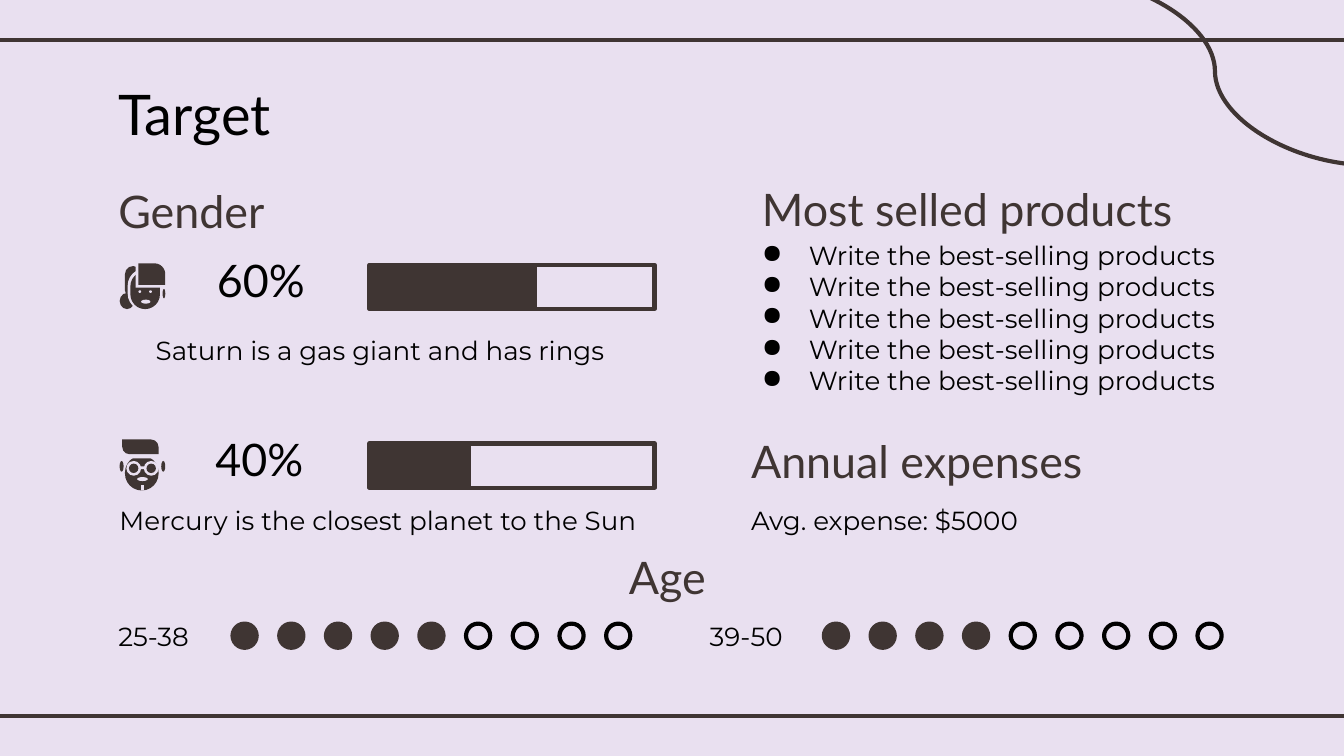
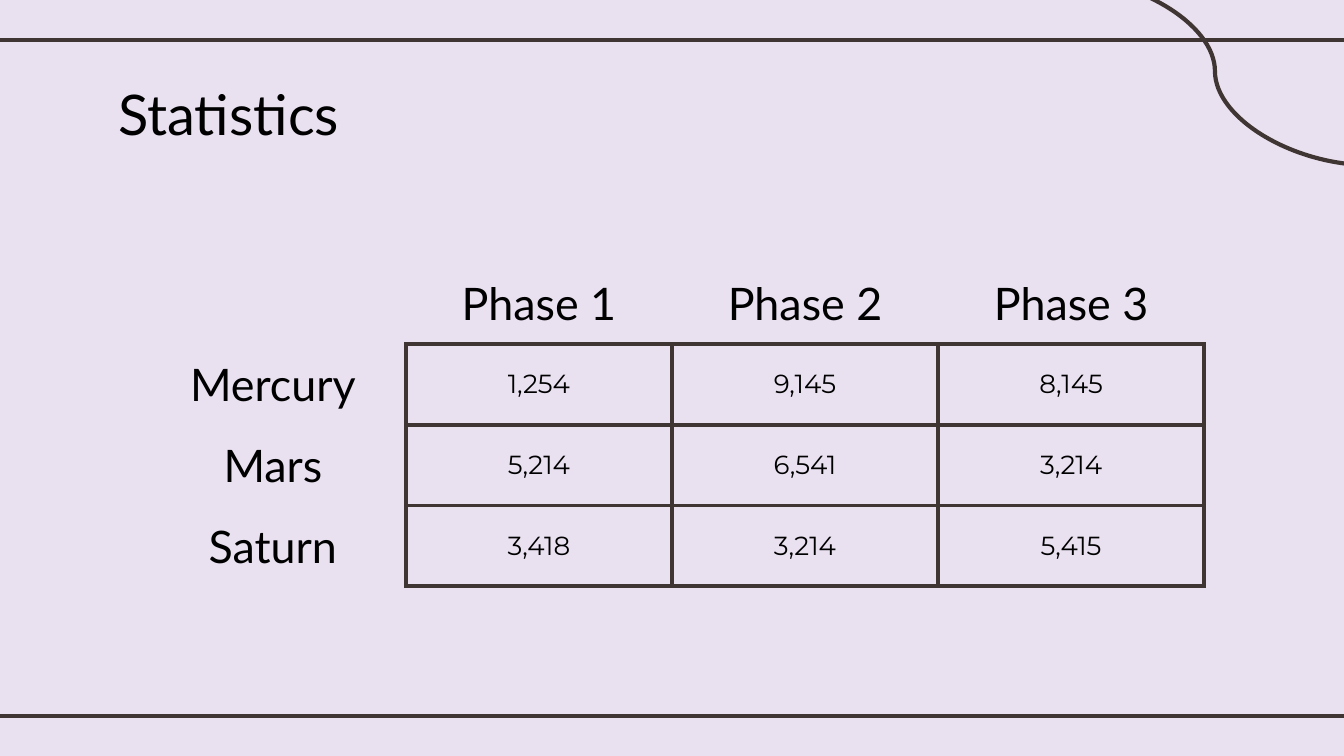
from lxml import etree
from pptx import Presentation
from pptx import util as u
from pptx.dml.color import RGBColor
from pptx.enum import shapes, text
from pptx.oxml.ns import qn

PX = 9144  # 100 px to the inch
INK, BLACK, LILAC = "3F3533", "000000", "E9E0F0"
LINE_WIDTH = u.Pt(2.25)
LEFT, CENTER = text.PP_ALIGN.LEFT, text.PP_ALIGN.CENTER
rgb = RGBColor.from_string


def paint(shape, fill=None, line=None):
    """Fill and outline a shape without a shadow; None leaves that part empty."""
    shape.shadow.inherit = False
    for part, color in ((shape.fill, fill), (shape.line.fill, line)):
        if color:
            part.solid()
            part.fore_color.rgb = rgb(color)
        else:
            part.background()
    if line:
        shape.line.width = LINE_WIDTH


def write(frame, lines, size, align=LEFT, color=BLACK, inset=10, bullet=None):
    frame.word_wrap = True
    frame.margin_left = frame.margin_right = inset * PX
    frame.margin_top = frame.margin_bottom = inset * PX
    for number, line in enumerate(lines):
        paragraph = frame.add_paragraph() if number else frame.paragraphs[0]
        paragraph.text = line
        paragraph.alignment = align
        if bullet:
            properties = paragraph._p.get_or_add_pPr()
            properties.set("marL", str(50 * PX))
            properties.set("indent", str(-35 * PX))
            bullet_color = etree.SubElement(properties, qn("a:buClr"))
            etree.SubElement(bullet_color, qn("a:srgbClr"), val=color)
            etree.SubElement(properties, qn("a:buChar"), char=bullet)
        paragraph.font.name = "Montserrat" if size == 14 else "Lato"
        paragraph.font.size = u.Pt(size)
        paragraph.font.color.rgb = rgb(color)


prs = Presentation()
prs.slide_width, prs.slide_height = 1000 * PX, u.Inches(5.625)
backdrop = prs.slide_master.background.fill
backdrop.solid()
backdrop.fore_color.rgb = rgb(LILAC)

# Both slides: two rules, a corner curve and the title
STRAIGHT, CURVE = shapes.MSO_CONNECTOR.STRAIGHT, shapes.MSO_CONNECTOR.CURVE
FRAME_LINES = [
    (STRAIGHT, -8, 30, 1008, 30),
    (STRAIGHT, -8, 533, 1008, 533),
    (CURVE, 788, -17, 1020, 123),
]
for heading in ("Target", "Statistics"):
    slide = prs.slides.add_slide(prs.slide_layouts[5])
    for kind, *ends in FRAME_LINES:
        rule = slide.shapes.add_connector(kind, *(end * PX for end in ends))
        rule.line.color.rgb = rgb(INK)
        rule.line.width = LINE_WIDTH
        etree.SubElement(rule._element.spPr, qn("a:effectLst"))
    title = slide.shapes.title
    title.left, title.top, title.width, title.height = 78 * PX, 49 * PX, 844 * PX, 63 * PX
    title.text_frame.auto_size = text.MSO_AUTO_SIZE.NONE
    title.text_frame.vertical_anchor = text.MSO_ANCHOR.TOP
    write(title.text_frame, [heading], 30)
target, statistics = prs.slides

# Target: headings and notes
TEXTS = [
    (157, 188, 74, 51, ["60%"], 24, CENTER, BLACK, 0),
    (156, 321, 74, 51, ["40%"], 24, CENTER, BLACK, 0),
    (79, 239, 408, 42, ["Saturn is a gas giant and has rings"], 14, CENTER, BLACK, 10),
    (79, 365, 408, 34, ["Mercury is the closest planet to the Sun"], 14, LEFT, BLACK, 10),
    (424, 409, 145, 42, ["Age"], 24, CENTER, INK, 0),
    (88, 137, 145, 42, ["Gender"], 24, LEFT, INK, 0),
    (557, 125, 369, 54, ["Most selled products"], 24, LEFT, INK, 10),
    (542, 168, 384, 141, ["Write the best-selling products"] * 5, 14, LEFT, BLACK, 10, "●"),
    (549, 313, 377, 54, ["Annual expenses"], 24, LEFT, INK, 10),
    (549, 365, 377, 42, ["Avg. expense: $5000"], 14, LEFT, BLACK, 10),
]
for x, y, w, h, *content in TEXTS:
    box = target.shapes.add_textbox(x * PX, y * PX, w * PX, h * PX)
    write(box.text_frame, *content)

# Target: faces of a woman and a man, from back to front
OVAL, RECTANGLE = shapes.MSO_SHAPE.OVAL, shapes.MSO_SHAPE.RECTANGLE
ROUNDED = shapes.MSO_SHAPE.ROUNDED_RECTANGLE
FRINGE = shapes.MSO_SHAPE.ROUND_1_RECTANGLE
QUIFF = shapes.MSO_SHAPE.ROUND_2_DIAG_RECTANGLE
FACES = [
    (OVAL, INK, 89, 218, 11, 12),
    (ROUNDED, INK, 93, 198, 12, 24),
    (OVAL, INK, 121, 215, 2, 7),
    (ROUNDED, LILAC, 95, 200, 25, 31),
    (ROUNDED, INK, 97, 202, 22, 28),
    (FRINGE, LILAC, 101, 196, 22, 18),
    (FRINGE, INK, 103, 196, 20, 16),
    (OVAL, LILAC, 103, 216, 2, 2),
    (OVAL, LILAC, 111, 216, 2, 2),
    (OVAL, LILAC, 105, 223, 7, 3),
    (OVAL, INK, 89, 343, 3, 8),
    (OVAL, INK, 120, 343, 3, 8),
    (ROUNDED, INK, 93, 339, 25, 26),
    (QUIFF, LILAC, 91, 329, 27, 12),
    (QUIFF, INK, 91, 327, 27, 11),
    (OVAL, LILAC, 94, 343, 11, 11),
    (OVAL, LILAC, 107, 343, 11, 11),
    (RECTANGLE, LILAC, 104, 347, 4, 2),
    (OVAL, INK, 96, 345, 7, 7),
    (OVAL, INK, 109, 345, 7, 7),
    (OVAL, LILAC, 102, 355, 8, 3),
    (RECTANGLE, LILAC, 105, 361, 2, 4),
]
for kind, color, *place in FACES:
    feature = target.shapes.add_shape(kind, *(length * PX for length in place))
    paint(feature, color)
    if kind in (ROUNDED, FRINGE):
        feature.adjustments[0] = 0.5
    elif kind == QUIFF:
        feature.adjustments[0], feature.adjustments[1] = 0, 0.5

# Target: gender bars
for top, share in ((197, 123), (330, 74)):
    for width, fill in ((212, None), (share, INK)):
        bar = target.shapes.add_shape(RECTANGLE, 275 * PX, top * PX, width * PX, 33 * PX)
        paint(bar, fill, INK)

# Target: age scales of nine dots
for left, ages, filled in ((88, "25-38", 5), (528, "39-50", 4)):
    label = target.shapes.add_textbox(left * PX, 458 * PX, 65 * PX, 30 * PX)
    label.text_frame.vertical_anchor = text.MSO_ANCHOR.MIDDLE
    write(label.text_frame, [ages], 14, inset=0)
    for number in range(9):
        dot = target.shapes.add_shape(
            OVAL, (left + 85) * PX + number * 278 * PX // 8, 464 * PX, 18 * PX, 18 * PX)
        if number < filled:
            paint(dot, INK, INK)
        else:
            paint(dot, None, BLACK)

# Statistics: only the figures are boxed in
ROWS = [
    ["", "Phase 1", "Phase 2", "Phase 3"],
    ["Mercury", "1,254", "9,145", "8,145"],
    ["Mars", "5,214", "6,541", "3,214"],
    ["Saturn", "3,418", "3,214", "5,415"],
]
phases = statistics.shapes.add_table(4, 4, 104 * PX, 196 * PX, 792 * PX, 240 * PX).table
phases.first_row = phases.horz_banding = False
for r, row in enumerate(ROWS):
    for c, value in enumerate(row):
        cell = phases.cell(r, c)
        cell.margin_left = cell.margin_right = cell.margin_top = cell.margin_bottom = 10 * PX
        is_figure = r > 0 and c > 0
        if is_figure:
            cell.vertical_anchor = text.MSO_ANCHOR.MIDDLE
            edges = "LRTB"
        else:
            edges = ("B" if c else "") + ("R" if r else "")
        if value:
            write(cell.text_frame, [value], 14 if is_figure else 24, CENTER)
        for side in "LRTB":
            border = etree.SubElement(
                cell._tc.get_or_add_tcPr(), qn("a:ln" + side), w=str(LINE_WIDTH))
            if side in edges:
                border_fill = etree.SubElement(border, qn("a:solidFill"))
                etree.SubElement(border_fill, qn("a:srgbClr"), val=INK)
            else:
                etree.SubElement(border, qn("a:noFill"))
        cell.fill.background()

prs.save("out.pptx")
